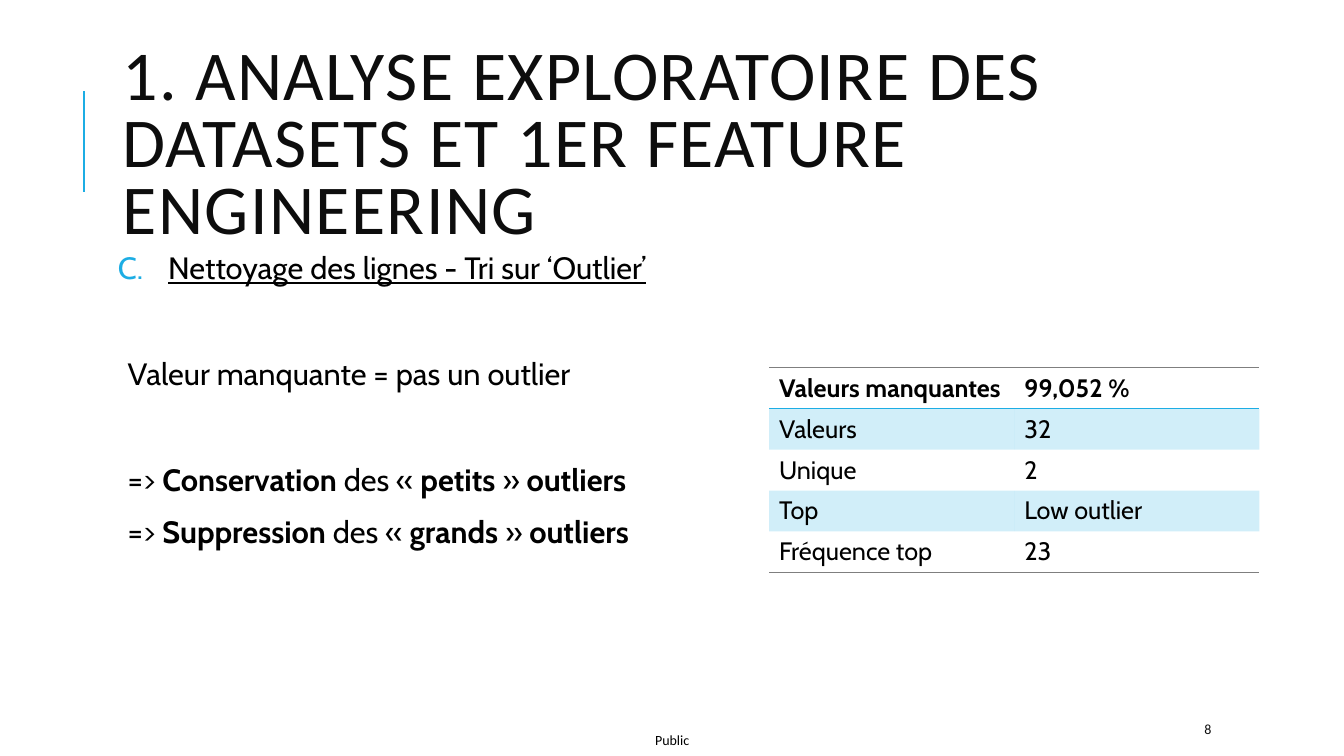
import pptx
import pptx.util
import pptx.dml.color
import pptx.enum.shapes
import pptx.enum.text
import pptx.oxml
import pptx.oxml.ns
import lxml.etree

Cm, Pt = pptx.util.Cm, pptx.util.Pt
ANCHOR = pptx.enum.text.MSO_ANCHOR

ACCENT, BLACK, INK, GREY = "1CADE4", "000000", "0D0D0D", "7F7F7F"
HEAD_FONT, BODY_FONT = "Calibri", "Cabin"

TITLE = "1. ANALYSE EXPLORATOIRE DES DATASETS ET 1ER FEATURE ENGINEERING"
HEADING = "Nettoyage des lignes - Tri sur ‘Outlier’"
POINTS = [
    (49.7, [("Valeur manquante = pas un outlier", False)]),
    (49.7, [("=> ", False), ("Conservation", True), (" des « ", False),
            ("petits", True), (" » ", False), ("outliers", True)]),
    (12, [("=> ", False), ("Suppression", True), (" des « ", False),
          ("grands", True), (" » ", False), ("outliers", True)]),
]
STATS = [
    ("Valeurs manquantes", "99,052 %"),
    ("Valeurs", "32"),
    ("Unique", "2"),
    ("Top", "Low outlier"),
    ("Fréquence top", "23"),
]
NO_STYLE = "{2D5ABB26-0587-4C30-8999-92F81FD0307C}"


def rgb(value):
    return pptx.dml.color.RGBColor.from_string(value)


def add_run(p, text, size, font, color=BLACK, bold=False):
    r = p.add_run()
    r.text = text
    r.font.size = Pt(size)
    r.font.name = font
    r.font.bold = bold
    r.font.color.rgb = rgb(color)
    return r


def add_box(s, left, top, width, height, inset=None, anchor=ANCHOR.TOP, wrap=True):
    sp = s.shapes.add_textbox(Cm(left), Cm(top), Cm(width), Cm(height))
    tf = sp.text_frame
    tf.word_wrap = wrap
    tf.vertical_anchor = anchor
    if inset is not None:
        tf.margin_left = tf.margin_right = Cm(inset)
        tf.margin_top = tf.margin_bottom = Cm(inset)
    return tf


def space(p, before, margin, indent=0):
    p.line_spacing = 0.9
    p.space_before = Pt(before)
    p.space_after = Pt(2)
    pPr = p._p.get_or_add_pPr()
    pPr.set("marL", str(Cm(margin)))
    pPr.set("indent", str(Cm(indent)))
    return pPr


def add_xml(parent, tag, **attrs):
    el = lxml.etree.SubElement(parent, pptx.oxml.ns.qn(tag))
    for key, value in attrs.items():
        el.set(key, value)
    return el


def add_border(cell, side, color):
    tcPr = cell._tc.get_or_add_tcPr()
    ln = add_xml(tcPr, "a:" + side, w=str(Pt(1)))
    add_xml(add_xml(ln, "a:solidFill"), "a:srgbClr", val=color)
    tcPr.insert(0, ln)


def add_body(s):
    tf = add_box(s, 2.84, 6.25, 27, 11.18, inset=0.13)
    p = tf.paragraphs[0]
    pPr = space(p, 12, 1.27, -1.27)
    add_xml(add_xml(pPr, "a:buClr"), "a:srgbClr", val=ACCENT)
    add_xml(pPr, "a:buAutoNum", type="alphaUcPeriod", startAt="3")
    add_run(p, HEADING, 22, BODY_FONT).font.underline = True
    for before, runs in POINTS:
        p = tf.add_paragraph()
        space(p, before, 0.25)
        for text, bold in runs:
            add_run(p, text, 22, BODY_FONT, bold=bold)


def add_stats(s):
    row_h, col_w = 1.03, 6.18
    table = s.shapes.add_table(len(STATS), 2, Cm(19.38), Cm(9.27),
                               Cm(2 * col_w), Cm(len(STATS) * row_h)).table
    table.horz_banding = False
    table._tbl.tblPr.find(pptx.oxml.ns.qn("a:tableStyleId")).text = NO_STYLE
    for col in table.columns:
        col.width = Cm(col_w)
    last = len(STATS) - 1
    for i, values in enumerate(STATS):
        table.rows[i].height = Cm(row_h)
        for j, text in enumerate(values):
            cell = table.cell(i, j)
            add_run(cell.text_frame.paragraphs[0], text, 18, BODY_FONT, bold=i == 0)
            if i % 2:
                cell.fill.solid()
                cell.fill.fore_color.rgb = rgb(ACCENT)
                clr = cell._tc.tcPr.find(".//" + pptx.oxml.ns.qn("a:srgbClr"))
                add_xml(clr, "a:alpha", val="20000")
            else:
                cell.fill.background()
            if i in (0, last):
                add_border(cell, "lnB", ACCENT if i == 0 else GREY)
            if i == 0:
                add_border(cell, "lnT", GREY)


def main():
    prs = pptx.Presentation()
    prs.slide_width, prs.slide_height = Cm(33.87), Cm(19.05)
    s = prs.slides.add_slide(prs.slide_layouts[6])

    rule = s.shapes.add_connector(pptx.enum.shapes.MSO_CONNECTOR.STRAIGHT,
                                  Cm(2.12), Cm(4.83), Cm(2.12), Cm(2.29))
    rule.line.color.rgb = rgb(ACCENT)
    rule.line.width = Pt(1.5)
    add_xml(rule._element.spPr, "a:effectLst")

    tf = add_box(s, 16.51, 18.44, 0.94, 0.43, inset=0, wrap=False)
    add_run(tf.paragraphs[0], "Public", 10, HEAD_FONT)

    tf = add_box(s, 2.84, 1.63, 27, 4.17, anchor=ANCHOR.MIDDLE)
    p = tf.paragraphs[0]
    p.line_spacing = 0.8
    r = add_run(p, TITLE, 50, HEAD_FONT, INK)
    r._r.get_or_add_rPr().set("spc", "100")

    add_body(s)
    add_stats(s)

    tf = add_box(s, 30.1, 17.98, 2.69, 0.76, anchor=ANCHOR.MIDDLE)
    add_run(tf.paragraphs[0], "8", 10, HEAD_FONT, INK)

    prs.save("out.pptx")


if __name__ == "__main__":
    main()
